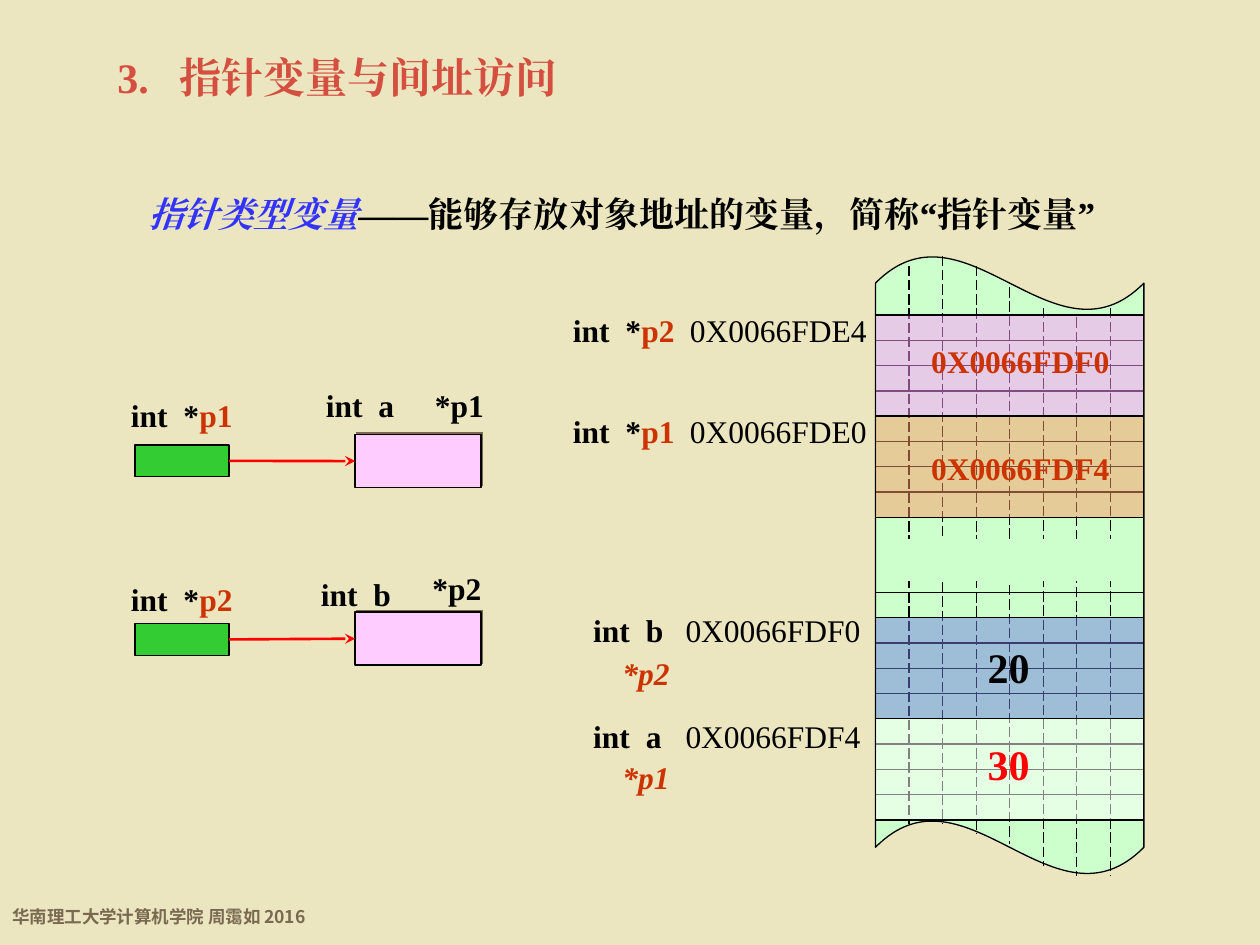
from dataclasses import dataclass
from typing import Optional

from lxml.etree import SubElement
from pptx import Presentation
from pptx.dml.color import RGBColor
from pptx.enum.dml import MSO_LINE
from pptx.enum.shapes import MSO_CONNECTOR, MSO_SHAPE
from pptx.enum.text import MSO_ANCHOR, PP_ALIGN
from pptx.oxml.ns import qn
from pptx.util import Cm, Pt

BLACK = RGBColor(0x00, 0x00, 0x00)
WHITE = RGBColor(0xFF, 0xFF, 0xFF)
SAND = RGBColor(0xEC, 0xE6, 0xC0)
BROWN = RGBColor(0x78, 0x69, 0x50)
BRICK = RGBColor(0xD5, 0x4F, 0x41)
BLUE = RGBColor(0x33, 0x33, 0xFF)
RUST = RGBColor(0xCC, 0x33, 0x00)
RED = RGBColor(0xFF, 0x00, 0x00)
MINT = RGBColor(0xCC, 0xFF, 0xCC)
GREEN = RGBColor(0x33, 0xCC, 0x33)
PINK = RGBColor(0xFF, 0xCC, 0xFF)
MAGENTA = RGBColor(0xFF, 0x99, 0xFF)
ORANGE = RGBColor(0xFF, 0x99, 0x66)
INDIGO = RGBColor(0x72, 0x7D, 0xE0)
SERIF, SANS = "Times New Roman", "Noto Sans CJK SC"

# Memory strip geometry, in centimetres
MEM_LEFT, MEM_WIDTH = 17.65, 5.41
ROW = 0.51
UPPER_TOP, LOWER_TOP = 6.35, 11.94
BITS = 8
KEYWORD_TAB = 1.06


@dataclass
class Phrase:
    text: str
    color: RGBColor = BLACK
    bold: bool = True
    italic: bool = False


@dataclass
class Label:
    left: float
    top: float
    width: float
    phrases: list[Phrase]
    size: int = 18
    height: float = 1.02
    tabs: tuple[float, ...] = ()
    centered: bool = False


@dataclass
class Cell:
    top: float
    fill: RGBColor


@dataclass
class Pointer:
    name: str
    target: str
    pointer_top: float
    target_top: float
    name_top: float
    target_label: tuple[float, float, float]
    access_label: tuple[float, float]


def write(paragraph, phrases: list[Phrase], size: int, font: str = SERIF, tabs=()) -> None:
    if tabs:
        tab_list = SubElement(paragraph._p.get_or_add_pPr(), qn("a:tabLst"))
        for stop in tabs:
            SubElement(tab_list, qn("a:tab"), pos=str(int(Cm(stop))), algn="l")
    for phrase in phrases:
        run = paragraph.add_run()
        run.text = phrase.text
        run.font.name, run.font.size = font, Pt(size)
        run.font.bold, run.font.italic = phrase.bold, phrase.italic
        run.font.color.rgb = phrase.color
        SubElement(run._r.get_or_add_rPr(), qn("a:ea"), typeface=font)


def add_label(slide, label: Label, font: str = SERIF, wrap: bool = False,
              spacing: Optional[float] = None) -> None:
    box = slide.shapes.add_textbox(Cm(label.left), Cm(label.top), Cm(label.width), Cm(label.height))
    box.text_frame.word_wrap = wrap
    paragraph = box.text_frame.paragraphs[0]
    if label.centered:
        paragraph.alignment = PP_ALIGN.CENTER
    if spacing:
        paragraph.line_spacing = spacing
    write(paragraph, label.phrases, label.size, font, label.tabs)


def add_block(slide, left: float, top: float, width: float, height: float, fill: RGBColor,
              kind=MSO_SHAPE.RECTANGLE, outlined: bool = True, alpha: Optional[int] = None):
    block = slide.shapes.add_shape(kind, Cm(left), Cm(top), Cm(width), Cm(height))
    block.shadow.inherit = False
    block.fill.solid()
    block.fill.fore_color.rgb = fill
    if alpha:
        color = block._element.spPr.find(qn("a:solidFill")).find(qn("a:srgbClr"))
        SubElement(color, qn("a:alpha"), val=str(alpha * 1000))
    if outlined:
        block.line.color.rgb, block.line.width = BLACK, Pt(0.75)
    else:
        block.line.fill.background()
    return block


def add_line(slide, x1: float, y1: float, x2: float, y2: float,
             color: RGBColor = BLACK, width: float = 0.75):
    line = slide.shapes.add_connector(MSO_CONNECTOR.STRAIGHT, Cm(x1), Cm(y1), Cm(x2), Cm(y2))
    line.line.color.rgb, line.line.width = color, Pt(width)
    SubElement(line._element.spPr, qn("a:effectLst"))
    return line


def add_memory(slide) -> None:
    strip = add_block(slide, MEM_LEFT, 5.16, MEM_WIDTH, 12.47, MINT, MSO_SHAPE.WAVE)
    strip.adjustments[0], strip.adjustments[1] = 0.044, 0
    # Byte rows above and below the gap
    for top, count in ((UPPER_TOP, 9), (LOWER_TOP, 10)):
        for row in range(count):
            y = top + row * ROW
            add_line(slide, MEM_LEFT, y, MEM_LEFT + MEM_WIDTH, y)
    # Bit columns follow the wavy edges
    column_ends = [(5.36, 16.61), (5.16, 16.61), (5.36, 16.81), (5.79, 17.02),
                   (6.2, 17.45), (6.4, 17.65), (6.2, 17.65)]
    for bit, (top, bottom) in enumerate(column_ends, start=1):
        x = MEM_LEFT + bit * MEM_WIDTH / BITS
        add_line(slide, x, top, x, bottom).line.dash_style = MSO_LINE.LONG_DASH
    add_block(slide, 18.21, 10.87, 4.45, 0.84, MINT, outlined=False)
    # Four-byte variables
    for cell in (Cell(LOWER_TOP + ROW, INDIGO), Cell(LOWER_TOP + 5 * ROW, WHITE),
                 Cell(UPPER_TOP, MAGENTA), Cell(UPPER_TOP + 4 * ROW, ORANGE)):
        add_block(slide, MEM_LEFT, cell.top, MEM_WIDTH, 4 * ROW, cell.fill, alpha=50)


def add_pointer(slide, pointer: Pointer) -> None:
    source = add_block(slide, 2.72, pointer.pointer_top, 1.9, 0.64, GREEN)
    target = add_block(slide, 7.16, pointer.target_top, 2.54, 1.07, PINK)
    shadow = SubElement(target._element.spPr.find(qn("a:effectLst")), qn("a:outerShdw"),
                        dist=str(int(Pt(1.4))), dir="18900000", algn="ctr", rotWithShape="0")
    SubElement(shadow, qn("a:srgbClr"), val=str(BROWN))
    arrow = add_line(slide, 4.62, 9.3, 7.16, 9.3, RED, 1.5)
    arrow.begin_connect(source, 3)
    arrow.end_connect(target, 1)
    SubElement(arrow._element.spPr.find(qn("a:ln")), qn("a:tailEnd"), type="stealth")
    add_label(slide, Label(2.39, pointer.name_top, 2.57,
                           [Phrase("int\t*"), Phrase(pointer.name, RUST)], tabs=(KEYWORD_TAB,)))
    add_label(slide, Label(*pointer.target_label, [Phrase(f"int\t{pointer.target}")],
                           tabs=(KEYWORD_TAB,)))
    add_label(slide, Label(*pointer.access_label, 1.5, [Phrase(f"*{pointer.name}")], centered=True))


def main() -> None:
    presentation = Presentation()
    presentation.slide_width, presentation.slide_height = Cm(25.4), Cm(19.05)
    slide = presentation.slides.add_slide(presentation.slide_layouts[5])
    slide.background.fill.solid()
    slide.background.fill.fore_color.rgb = SAND

    # Title, definition and footer
    title = slide.shapes.title
    title.left, title.top, title.width, title.height = Cm(2.11), Cm(0.91), Cm(20.96), Cm(1.91)
    title.text_frame.vertical_anchor = MSO_ANCHOR.TOP
    heading = title.text_frame.paragraphs[0]
    heading.alignment = PP_ALIGN.LEFT
    write(heading, [Phrase("3.\t指针变量与间址访问", BRICK)], 24, tabs=(1.25,))
    add_label(slide, Label(2.74, 3.25, 20.32, [
        Phrase("指针类型变量", BLUE, italic=True), Phrase("——", italic=True),
        Phrase("能够存放对象地址的变量，简称“指针变量”")], 20, 1.6), wrap=True, spacing=1.6)
    add_label(slide, Label(0, 17.98, 6.76, [Phrase("华南理工大学计算机学院 周霭如 2016", BROWN)],
                           10, 0.86), SANS, spacing=1.4)

    add_memory(slide)

    # Variable names and addresses beside the strip
    for name, address, top in (("p2", "0X0066FDE4", 6.15), ("p1", "0X0066FDE0", 8.18)):
        add_label(slide, Label(11.3, top, 6.43, [
            Phrase("int\t*"), Phrase(name, RUST), Phrase(f"\t{address}", bold=False)],
            tabs=(KEYWORD_TAB, 2.36)))
    for name, address, top in (("b", "0X0066FDF0", 12.19), ("a", "0X0066FDF4", 14.33)):
        add_label(slide, Label(11.71, top, 5.92, [
            Phrase(f"int\t{name}"), Phrase(f"\t{address}", bold=False)], tabs=(KEYWORD_TAB, 1.86)))
    for access, top in (("*p2", 13.06), ("*p1", 15.16)):
        add_label(slide, Label(12.29, top, 1.47, [Phrase(access, RUST, italic=True)], centered=True))

    # Stored values
    for value, top in (("0X0066FDF0", 6.78), ("0X0066FDF4", 8.92)):
        add_label(slide, Label(18.52, top, 4.11, [Phrase(value, RUST)]))
    for value, color, top in (("20", BLACK, 12.8), ("30", RED, 14.76)):
        add_label(slide, Label(19.66, top, 1.35, [Phrase(value, color)], 24, 1.27, centered=True))

    # Pointer diagrams
    for pointer in (Pointer("p1", "a", 8.97, 8.76, 7.85, (6.32, 7.65, 1.88), (8.51, 7.65)),
                    Pointer("p2", "b", 12.57, 12.34, 11.56, (6.22, 11.46, 1.93), (8.46, 11.35))):
        add_pointer(slide, pointer)

    presentation.save("out.pptx")


if __name__ == "__main__":
    main()
